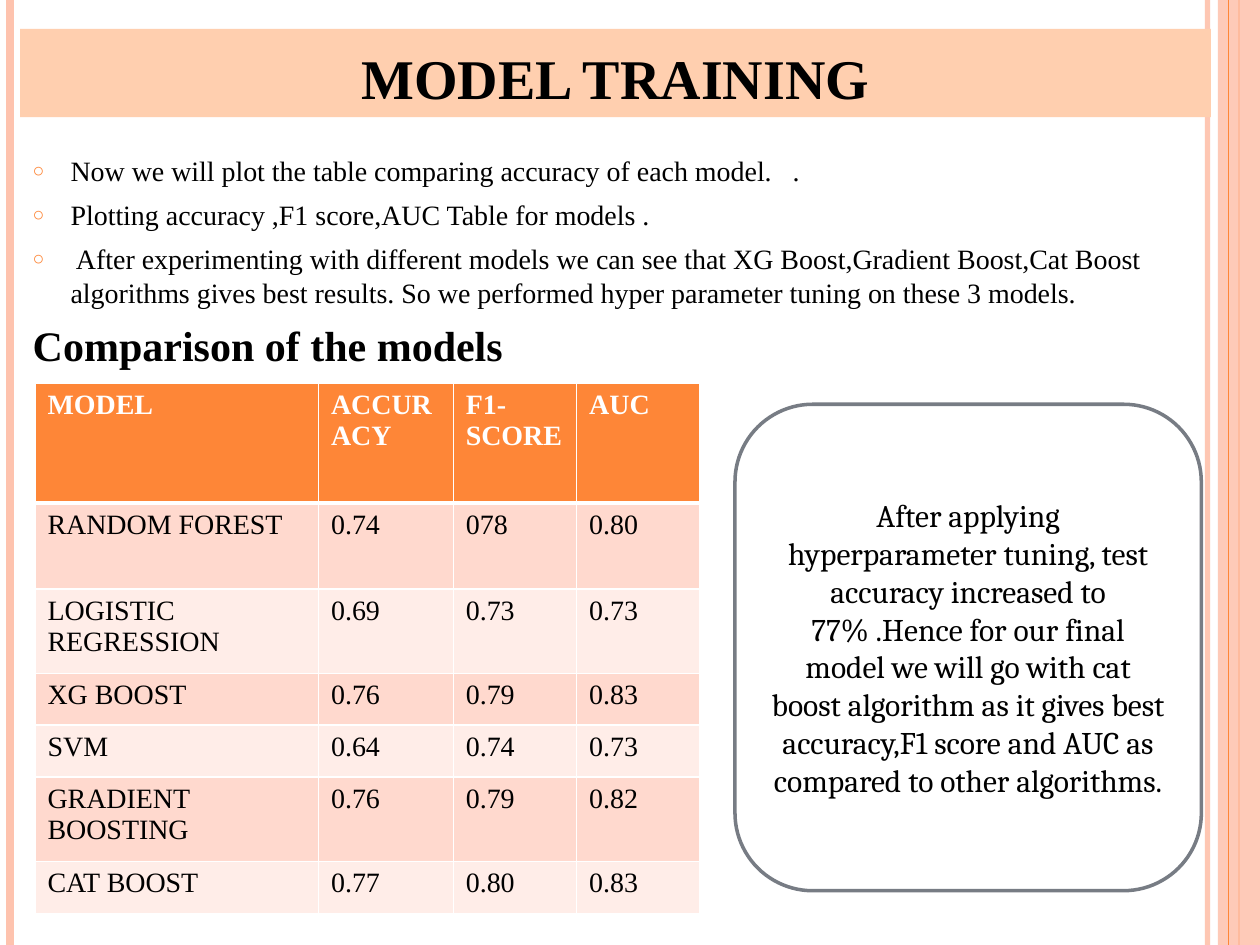
import pptx
import pptx.util
import pptx.dml.color
import pptx.enum.shapes
import pptx.enum.text
import pptx.oxml
import pptx.oxml.ns
import lxml.etree

Pt = pptx.util.Pt
ANCHOR = pptx.enum.text.MSO_ANCHOR
SERIF = "Times New Roman"
ORANGE, PEACH, BLACK, WHITE = "FE8637", "FEC3AE", "000000", "FFFFFF"
BAND_FILLS = ("FFD9CE", "FFEDE8")

BULLETS = [
    "Now we will plot the table comparing accuracy of each model.   .",
    "Plotting accuracy ,F1 score,AUC Table for models .",
    " After experimenting with different models we can see that XG Boost,"
    "Gradient Boost,Cat Boost algorithms gives best results. So we performed "
    "hyper parameter tuning on these 3 models.",
]
SCORES = [
    ("MODEL", "ACCURACY", "F1-SCORE", "AUC"),
    ("RANDOM FOREST", "0.74", "078", "0.80"),
    ("LOGISTIC REGRESSION", "0.69", "0.73", "0.73"),
    ("XG BOOST", "0.76", "0.79", "0.83"),
    ("SVM", "0.64", "0.74", "0.73"),
    ("GRADIENT BOOSTING", "0.76", "0.79", "0.82"),
    ("CAT BOOST", "0.77", "0.80", "0.83"),
]
COLUMN_WIDTHS = (162, 77, 70.5, 70.5)
ROW_HEIGHTS = (68.5, 49, 48.5, 29.5, 29.5, 48.5, 29.5)
CONCLUSION = (
    "After applying hyperparameter tuning, test accuracy increased to 77% "
    ".Hence for our final model we will go with cat boost algorithm as it gives "
    "best accuracy,F1 score and AUC as compared to other algorithms."
)


def color(hex_string):
    return pptx.dml.color.RGBColor.from_string(hex_string)


def add_xml(parent, tag, **attributes):
    element = lxml.etree.SubElement(parent, pptx.oxml.ns.qn(tag))
    for name, value in attributes.items():
        element.set(name, str(value))
    return element


def paint(fill, hex_string, opacity=100):
    fill.solid()
    fill.fore_color.rgb = color(hex_string)
    if opacity < 100:
        for choice in fill._xPr.iter(pptx.oxml.ns.qn("a:srgbClr")):
            add_xml(choice, "a:alpha", val=opacity * 1000)


def place(shape, left, top, width, height):
    shape.left, shape.top = Pt(left), Pt(top)
    shape.width, shape.height = Pt(width), Pt(height)


def add_span(para, text, size, hex_string=BLACK, bold=False, font=SERIF):
    span = para.add_run()
    span.text = text
    span.font.size = Pt(size)
    span.font.name = font
    span.font.bold = bold
    span.font.color.rgb = color(hex_string)


def set_bullet(para, character=None):
    """Give the paragraph a hanging orange bullet, or none at all."""
    properties = para._p.get_or_add_pPr()
    indent = Pt(21.6) if character else 0
    properties.set("marL", str(indent))
    properties.set("indent", str(-indent))
    if character:
        add_xml(add_xml(properties, "a:buClr"), "a:srgbClr", val=ORANGE)
        add_xml(properties, "a:buSzPct", val=70000)
        add_xml(properties, "a:buChar", char=character)
    else:
        add_xml(properties, "a:buNone")


def add_stripe(page, x, width, hex_string, opacity=100):
    stripe = page.shapes.add_connector(
        pptx.enum.shapes.MSO_CONNECTOR.STRAIGHT, Pt(x), 0, Pt(x), Pt(540))
    stripe.line.width = Pt(width)
    paint(stripe.line.fill, hex_string, opacity)
    add_xml(stripe._element.spPr, "a:effectLst")


def add_box(page, kind, bounds, fill, opacity=100, line=None):
    box = page.shapes.add_shape(kind, *map(Pt, bounds))
    box.shadow.inherit = False
    paint(box.fill, fill, opacity)
    if line:
        box.line.color.rgb = color(line)
        box.line.width = Pt(2)
    else:
        box.line.fill.background()
    return box


def fill_title(title):
    place(title, 11.5, 16.5, 680.5, 50.5)
    paint(title.fill, "FFCFAF")
    frame = title.text_frame
    frame.auto_size = pptx.enum.text.MSO_AUTO_SIZE.NONE
    frame.vertical_anchor = ANCHOR.BOTTOM
    para = frame.paragraphs[0]
    para.alignment = pptx.enum.text.PP_ALIGN.CENTER
    add_span(para, "MODEL TRAINING", 32, bold=True)


def fill_body(body):
    place(body, 11.5, 84.25, 675.5, 438.5)
    frame = body.text_frame
    frame.auto_size = pptx.enum.text.MSO_AUTO_SIZE.NONE
    para = frame.paragraphs[0]
    for text in BULLETS:
        para.space_before = Pt(6)
        set_bullet(para, "○")
        add_span(para, text, 16)
        para = frame.add_paragraph()
    para.space_before = Pt(6)
    set_bullet(para)
    add_span(para, "Comparison of the models", 24, bold=True)


def set_borders(cell, top, bottom):
    properties = cell._tc.get_or_add_tcPr()
    widths = {"a:lnL": 1, "a:lnR": 1, "a:lnT": top, "a:lnB": bottom}
    for position, (tag, width) in enumerate(widths.items()):
        border = add_xml(properties, tag, w=Pt(width))
        add_xml(add_xml(border, "a:solidFill"), "a:srgbClr", val=WHITE)
        properties.insert(position, border)


def add_score_table(page):
    table = page.shapes.add_table(
        len(SCORES), len(COLUMN_WIDTHS), Pt(20), Pt(219),
        Pt(sum(COLUMN_WIDTHS)), Pt(sum(ROW_HEIGHTS))).table
    for column, width in zip(table.columns, COLUMN_WIDTHS):
        column.width = Pt(width)
    for index, (values, height) in enumerate(zip(SCORES, ROW_HEIGHTS)):
        header = index == 0
        table.rows[index].height = Pt(height)
        for cell, text in zip(table.rows[index].cells, values):
            paint(cell.fill, ORANGE if header else BAND_FILLS[(index - 1) % 2])
            set_borders(cell, 3 if index == 1 else 1, 3 if header else 1)
            add_span(cell.text_frame.paragraphs[0], text, 16,
                     WHITE if header else BLACK, header)


def add_conclusion(page):
    box = add_box(page, pptx.enum.shapes.MSO_SHAPE.ROUNDED_RECTANGLE,
                  (420, 231, 266.5, 278), WHITE, line="777C84")
    frame = box.text_frame
    frame.word_wrap = True
    frame.vertical_anchor = ANCHOR.MIDDLE
    para = frame.paragraphs[0]
    para.alignment = pptx.enum.text.PP_ALIGN.CENTER
    add_span(para, CONCLUSION, 18, font="Cambria")


def main():
    deck = pptx.Presentation()
    deck.slide_width, deck.slide_height = Pt(720), Pt(540)
    page = deck.slides.add_slide(deck.slide_layouts[1])
    title, body = page.shapes.title, page.placeholders[1]

    # Edge stripes
    add_stripe(page, 690, 3, PEACH, 93)
    add_stripe(page, 5.75, 4.5, PEACH)
    add_stripe(page, 708, 1.5, ORANGE)
    add_box(page, pptx.enum.shapes.MSO_SHAPE.RECTANGLE,
            (696, 0, 24, 540), PEACH, 87)
    add_stripe(page, 702, 0.75, ORANGE)

    # Title and list, in front of the stripes
    fill_title(title)
    fill_body(body)
    for placeholder in (body, title):
        page.shapes._spTree.append(placeholder._element)

    # Model scores and conclusion
    add_score_table(page)
    add_conclusion(page)
    deck.save("out.pptx")


if __name__ == "__main__":
    main()
